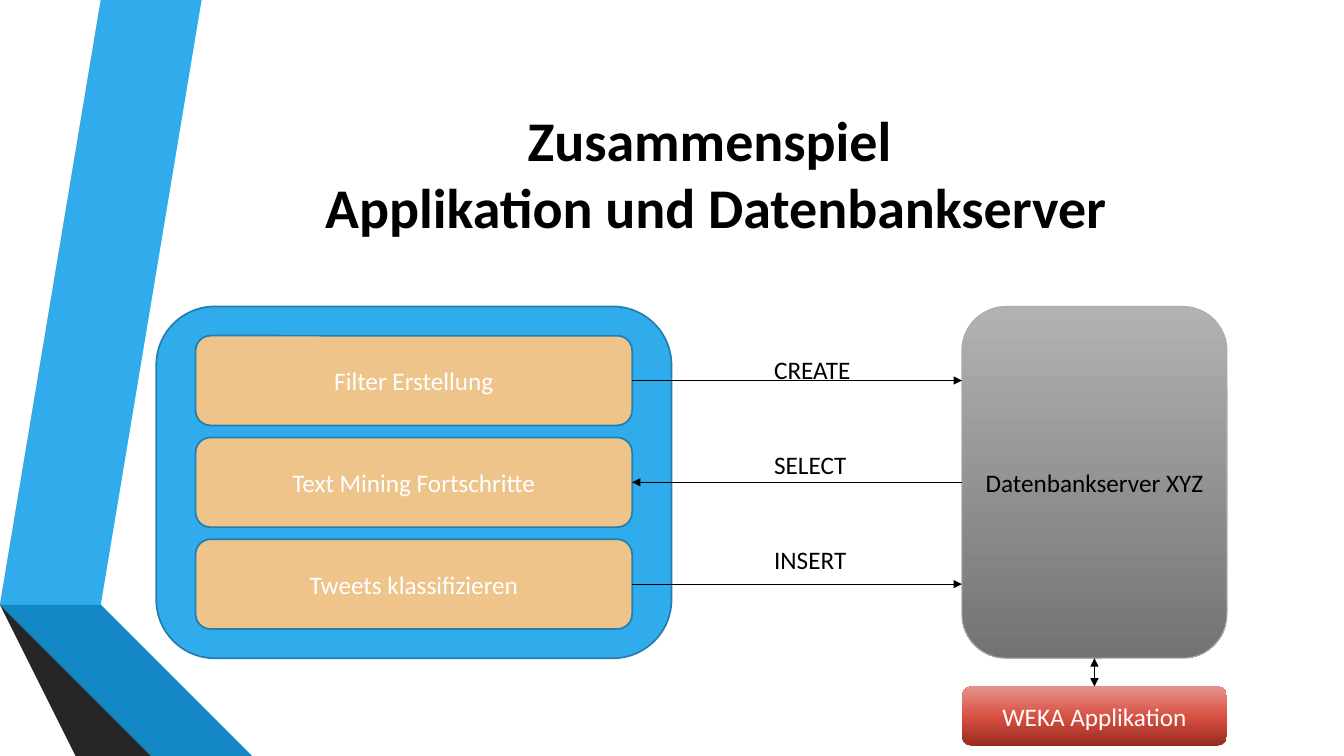
from pptx import Presentation
from pptx.dml.color import RGBColor
from pptx.enum.shapes import MSO_CONNECTOR as Link, MSO_SHAPE as Kind
from pptx.enum.text import MSO_ANCHOR as Anchor, MSO_AUTO_SIZE as Fit, PP_ALIGN as Align
from pptx.oxml import parse_xml
from pptx.oxml.ns import nsdecls, qn
from pptx.util import Inches, Pt
from lxml.etree import SubElement

HUES = {
    "blue": "30ACEC", "edge": "247FAF", "deep": "1287C3", "navy": "0C5A82",
    "gray": "595959", "dark": "404040", "coal": "262626", "rim": "ABABAB",
    "sand": "EEC48B", "black": "000000", "white": "FFFFFF",
}
# Gradients: angle in degrees, then stops of (percent, colour)
FADES = {
    "steel": (90, [(0, "B2B2B2"), (100, "737373")]),
    "red": (270, [(0, "972B20"), (48, "D74F41"), (100, "E69289")]),
}
BANDS = [
    ("blue", [(0.5, 5.78), (0.77, 5.83), (1.73, 0), (1.45, 0)]),
    ("gray", [(1.39, 0), (1.11, 0), (0.16, 5.73), (0.44, 5.77)]),
    ("coal", [(0.16, 5.73), (1.45, 7.5), (1.51, 7.5)]),
    ("navy", [(0.5, 5.79), (2.08, 7.5), (2.14, 7.5)]),
    ("deep", [(0.5, 5.79), (2.14, 7.5), (2.83, 7.5), (0.77, 5.83), (0.5, 5.78)]),
    ("dark", [(2.02, 7.5), (0.48, 5.83), (0.44, 5.77), (0.16, 5.73), (1.51, 7.5)]),
]
STEPS = ["Filter Erstellung", "Text Mining Fortschritte", "Tweets klassifizieren"]
# Command, label width, whether the arrow points to the server
CALLS = [("CREATE", 1.06, True), ("SELECT", 1.04, False), ("INSERT", 1.0, True)]
ROW, PITCH = 0.89, 1.01


def hue(name):
    return RGBColor.from_string(HUES[name])


def write(frame, text, size=18, color="black", bold=False, align=Align.CENTER,
          anchor=Anchor.MIDDLE, wrap=True):
    frame.word_wrap = wrap
    frame.vertical_anchor = anchor
    para = frame.paragraphs[0]
    para.text = text
    para.alignment = align
    for run in para.runs:
        font = run.font
        font.name, font.size, font.bold = "Calibri", Pt(size), bold
        font.color.rgb = hue(color)


def fade(shape, name):
    angle, stops = FADES[name]
    marks = "".join(f'<a:gs pos="{pos * 1000}"><a:srgbClr val="{val}"/></a:gs>'
                    for pos, val in stops)
    props = shape._element.spPr
    props.find(qn("a:prstGeom")).addnext(parse_xml(
        f'<a:gradFill {nsdecls("a")} rotWithShape="1"><a:gsLst>{marks}</a:gsLst>'
        f'<a:lin ang="{angle * 60000}" scaled="0"/></a:gradFill>'))


def block(slide, box, fill, edge=None, width=1.25, text="", color="white"):
    shape = slide.shapes.add_shape(Kind.FLOWCHART_ALTERNATE_PROCESS, *map(Inches, box))
    shape.shadow.inherit = False
    if fill in FADES:
        fade(shape, fill)
    else:
        shape.fill.solid()
        shape.fill.fore_color.rgb = hue(fill)
    if edge:
        shape.line.color.rgb = hue(edge)
        shape.line.width = Pt(width)
    else:
        shape.line.fill.background()
    if text:
        write(shape.text_frame, text, color=color)


def arrow(slide, start, end, both=False):
    link = slide.shapes.add_connector(Link.STRAIGHT, *map(Inches, start + end))
    link.line.color.rgb = hue("black")
    link.line.width = Pt(0.75)
    for tag in ["a:headEnd", "a:tailEnd"] if both else ["a:tailEnd"]:
        SubElement(link.line._get_or_add_ln(), qn(tag), type="triangle")
    SubElement(link._element.spPr, qn("a:effectLst"))


def ribbon(slide):
    for color, dots in BANDS:
        path = slide.shapes.build_freeform(*dots[0], scale=Inches(1))
        path.add_line_segments(dots[1:], close=True)
        band = path.convert_to_shape()
        band.shadow.inherit = False
        band.fill.solid()
        band.fill.fore_color.rgb = hue(color)
        band.line.fill.background()


def title(slide, box):
    head = slide.shapes.title
    head.left, head.top, head.width, head.height = map(Inches, box)
    write(head.text_frame, "Zusammenspiel \vApplikation und Datenbankserver",
          size=40, bold=True)


def client(slide, box):
    left, top, width, _ = box
    block(slide, box, "blue", "edge")
    for i, step in enumerate(STEPS):
        row = (left + 0.39, top + 0.29 + i * PITCH, width - 0.78, ROW)
        block(slide, row, "sand", "edge", text=step)


def calls(slide, box):
    left, top, width, _ = box
    for i, (text, wide, out) in enumerate(CALLS):
        y = top + ROW / 2 + i * PITCH
        ends = [(left, y), (left + width, y)]
        arrow(slide, *(ends if out else ends[::-1]))
        spot = (left + 1.31, top + 0.14 + i * 0.94, wide, 0.4)
        label = slide.shapes.add_textbox(*map(Inches, spot))
        write(label.text_frame, text, align=Align.LEFT, anchor=Anchor.TOP, wrap=False)
        label.text_frame.auto_size = Fit.SHAPE_TO_FIT_TEXT


def server(slide, box):
    left, top, width, height = box
    foot, mid = top + height, left + width / 2
    block(slide, box, "steel", "rim", 0.75, "Datenbankserver XYZ", "black")
    block(slide, (left, foot + 0.28, width, 0.59), "red", text="WEKA Applikation")
    arrow(slide, (mid, foot), (mid, foot + 0.28), both=True)


def main():
    deck = Presentation()
    deck.slide_width, deck.slide_height = Inches(13.33), Inches(7.5)
    slide = deck.slides.add_slide(deck.slide_layouts[5])
    ribbon(slide)
    title(slide, (1.62, 0.75, 10.96, 1.92))
    client(slide, (1.55, 3.04, 5.11, 3.49))
    server(slide, (9.54, 3.04, 2.63, 3.49))
    calls(slide, (6.27, 3.33, 3.27, 2.91))
    deck.save("out.pptx")


if __name__ == "__main__":
    main()
